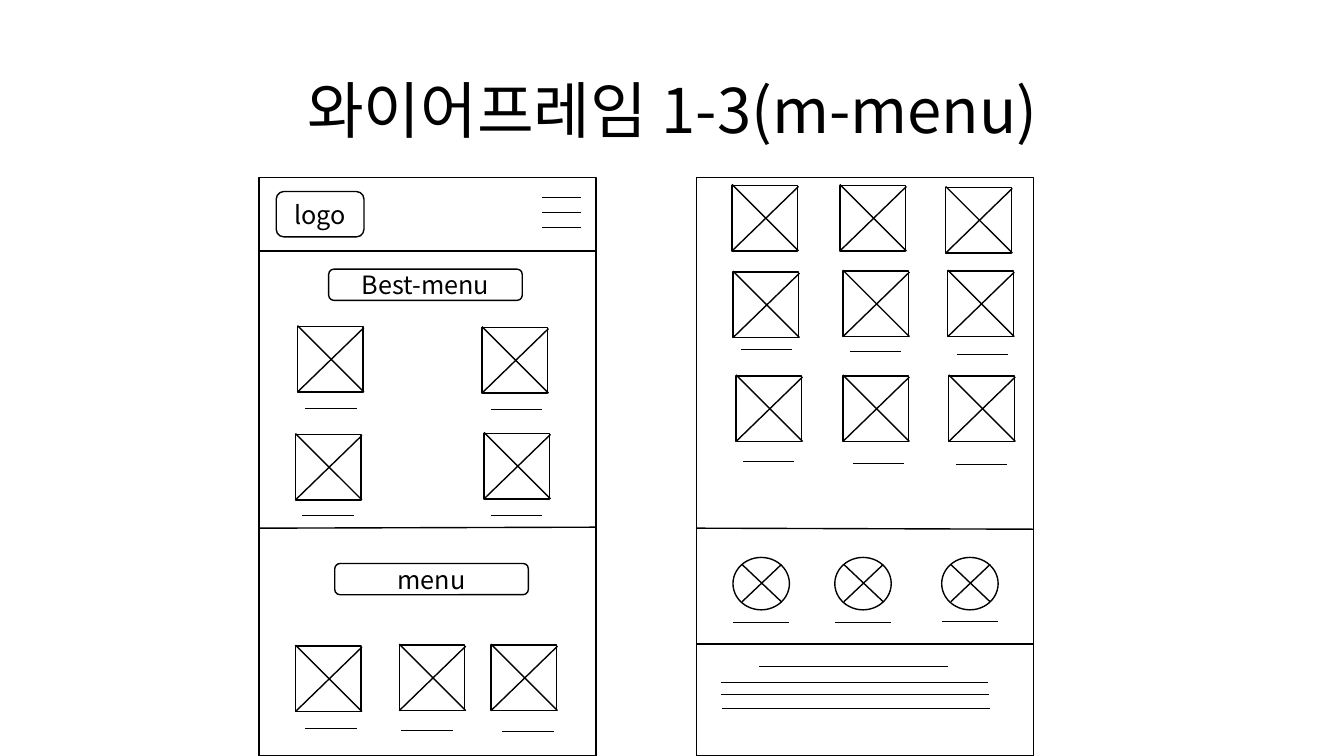
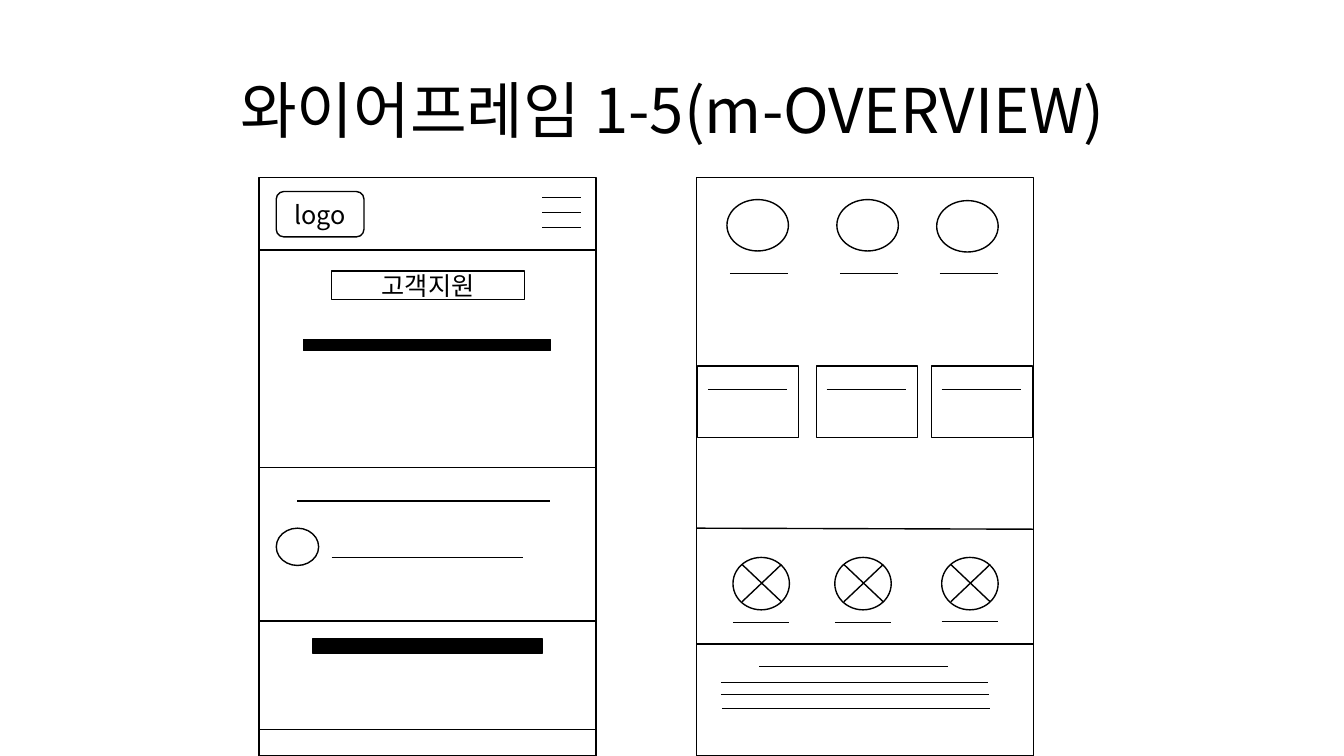
"""Build two mobile wireframe slides: the menu page and the overview page."""
from lxml.etree import SubElement
from pptx import Presentation
from pptx.dml.color import RGBColor
from pptx.enum.shapes import MSO_CONNECTOR, MSO_SHAPE
from pptx.enum.text import MSO_ANCHOR, PP_ALIGN
from pptx.oxml.ns import qn
from pptx.util import Inches, Pt

COLORS = {"paper": "FFFFFF", "ink": "000000"}
FONT = "Noto Sans CJK KR"
LEFT, RIGHT, TOP = 2.57, 6.91, 1.76
PHONE_W, PHONE_H = 3.34, 5.74
BOX = 0.65
THIN = 0.5


def add_outline(shapes, preset, x, y, w, h, text="", fill="paper"):
    shape = shapes.add_shape(preset, Inches(x), Inches(y), Inches(w), Inches(h))
    shape.shadow.inherit = False
    shape.fill.solid()
    shape.fill.fore_color.rgb = RGBColor.from_string(COLORS[fill])
    shape.line.color.rgb = RGBColor.from_string(COLORS["ink"])
    shape.line.width = Pt(1)
    if text:
        shape.text_frame.text = text
        shape.text_frame.paragraphs[0].font.size = Pt(18)


def add_rule(shapes, x1, y1, x2, y2, weight=1):
    rule = shapes.add_connector(
        MSO_CONNECTOR.STRAIGHT, Inches(x1), Inches(y1), Inches(x2), Inches(y2))
    rule.line.color.rgb = RGBColor.from_string(COLORS["ink"])
    rule.line.width = Pt(weight)
    SubElement(rule._element.spPr, qn("a:effectLst"))


deck = Presentation()
deck.slide_width, deck.slide_height = Inches(13.33), Inches(7.5)

for heading in ("와이어프레임 1-3(m-menu)", "와이어프레임 1-5(m-OVERVIEW)"):
    slide = deck.slides.add_slide(deck.slide_layouts[5])
    title = slide.shapes.title
    title.left, title.top = Inches(0.92), Inches(0.4)
    title.width, title.height = Inches(11.5), Inches(1.45)
    title.text_frame.text = heading
    title.text_frame.paragraphs[0].font.size = Pt(44)
    title.text_frame.paragraphs[0].line_spacing = 0.9

    for phone_x in (LEFT, RIGHT):
        add_outline(slide.shapes, MSO_SHAPE.RECTANGLE, phone_x, TOP, PHONE_W, PHONE_H)

    add_outline(slide.shapes, MSO_SHAPE.ROUNDED_RECTANGLE, 2.74, 1.9, 0.87, 0.45, "logo")
    for bar in range(3):
        bar_y = 1.96 + 0.15 * bar
        add_rule(slide.shapes, 5.38, bar_y, 5.76, bar_y)

    add_rule(slide.shapes, RIGHT, 5.24, RIGHT + PHONE_W, 5.25)
    add_rule(slide.shapes, RIGHT, 6.39, RIGHT + PHONE_W, 6.39)
    for icon_x, label_y in ((7.27, 6.17), (8.28, 6.17), (9.34, 6.16)):
        add_outline(slide.shapes, MSO_SHAPE.OVAL, icon_x, 5.53, 0.56, 0.52)
        add_rule(slide.shapes, icon_x + 0.09, 5.6, icon_x + 0.48, 5.97)
        add_rule(slide.shapes, icon_x + 0.48, 5.6, icon_x + 0.09, 5.97)
        add_rule(slide.shapes, icon_x, label_y, icon_x + 0.56, label_y, THIN)
    for start, end, y in ((7.53, 9.4, 6.61), (7.15, 9.8, 6.77),
                          (7.15, 9.81, 6.89), (7.16, 9.82, 7.03)):
        add_rule(slide.shapes, start, y, end, y, THIN)

menu, overview = (slide.shapes for slide in deck.slides)

add_rule(menu, LEFT, 2.49, LEFT + PHONE_W, 2.49)
add_rule(menu, LEFT, 5.24, LEFT + PHONE_W, 5.23)
for x, y, section in ((3.26, 2.67, "Best-menu"), (3.32, 5.59, "menu")):
    add_outline(menu, MSO_SHAPE.ROUNDED_RECTANGLE, x, y, 1.92, 0.31, section)

thumbnails = (
    (2.95, 3.24), (4.78, 3.25), (2.93, 4.31), (4.8, 4.3),
    (2.93, 6.41), (3.96, 6.4), (4.87, 6.4),
    (7.26, 1.84), (8.33, 1.84), (9.38, 1.86),
    (7.27, 2.7), (8.36, 2.69), (9.4, 2.69),
    (7.3, 3.73), (8.36, 3.73), (9.41, 3.73),
)
for x, y in thumbnails:
    thumbnail = menu.add_group_shape().shapes
    add_outline(thumbnail, MSO_SHAPE.RECTANGLE, x, y, BOX, BOX)
    add_rule(thumbnail, x, y - 0.01, x + BOX + 0.01, y + BOX)
    add_rule(thumbnail, x + BOX + 0.01, y + 0.01, x, y + BOX)

captions = (
    (3.03, 4.05), (4.87, 4.06), (3, 5.11), (4.87, 5.11),
    (3.03, 7.23), (3.98, 7.25), (4.98, 7.26),
    (7.35, 3.47), (8.43, 3.49), (9.49, 3.52),
    (7.37, 4.58), (8.46, 4.6), (9.48, 4.61),
)
for x, y in captions:
    add_rule(menu, x, y, x + 0.51, y, THIN)

for y, h in ((2.48, 2.16), (6.16, 1.08)):
    add_outline(overview, MSO_SHAPE.RECTANGLE, LEFT, y, PHONE_W, h)
add_outline(overview, MSO_SHAPE.RECTANGLE, 3.29, 2.69, 1.91, 0.28, "고객지원")
for x, y, w, h in ((3.01, 3.37, 2.45, 0.11), (3.1, 6.34, 2.28, 0.14)):
    add_outline(overview, MSO_SHAPE.RECTANGLE, x, y, w, h, fill="ink")
add_rule(overview, 2.95, 4.97, 5.46, 4.97)
add_outline(overview, MSO_SHAPE.OVAL, 2.74, 5.24, 0.42, 0.37)
add_rule(overview, 3.29, 5.53, 5.19, 5.53, THIN)

for x, y in ((7.21, 1.98), (8.3, 1.98), (9.29, 1.99)):
    add_outline(overview, MSO_SHAPE.OVAL, x, y, 0.61, 0.51)
    add_rule(overview, x + 0.03, 2.71, x + 0.61, 2.71, THIN)
for x in (6.92, 8.1, 9.24):
    add_outline(overview, MSO_SHAPE.RECTANGLE, x, 3.63, 1, 0.71)
    add_rule(overview, x + 0.1, 3.86, x + 0.89, 3.86, THIN)

for slide in deck.slides:
    for shape in slide.shapes:
        if shape.has_text_frame and shape.text_frame.text:
            shape.text_frame.vertical_anchor = MSO_ANCHOR.MIDDLE
            paragraph = shape.text_frame.paragraphs[0]
            paragraph.alignment = PP_ALIGN.CENTER
            paragraph.font.name = FONT
            paragraph.font.color.rgb = RGBColor.from_string(COLORS["ink"])
            SubElement(paragraph._p.pPr.find(qn("a:defRPr")), qn("a:ea"), typeface=FONT)

deck.save("out.pptx")
